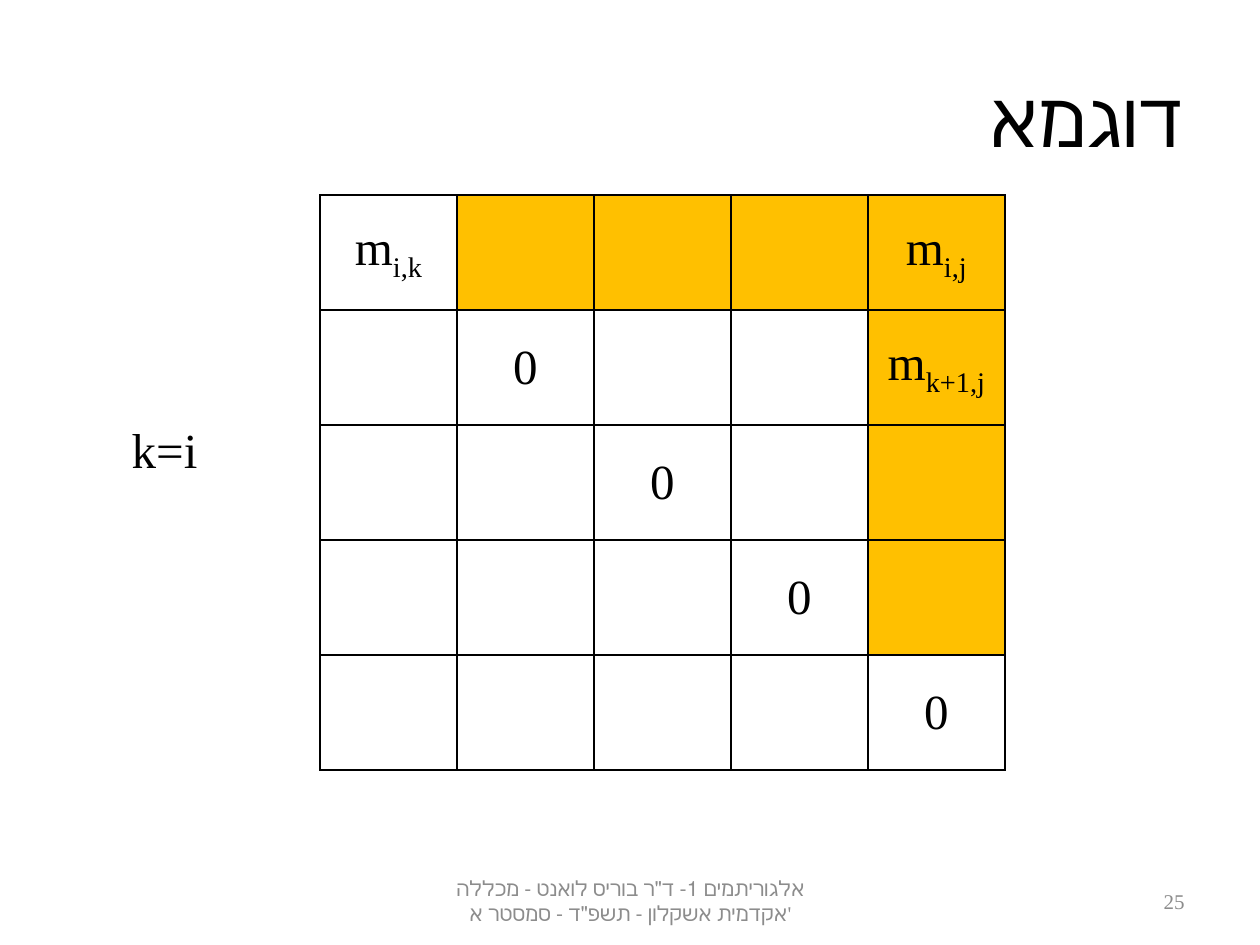
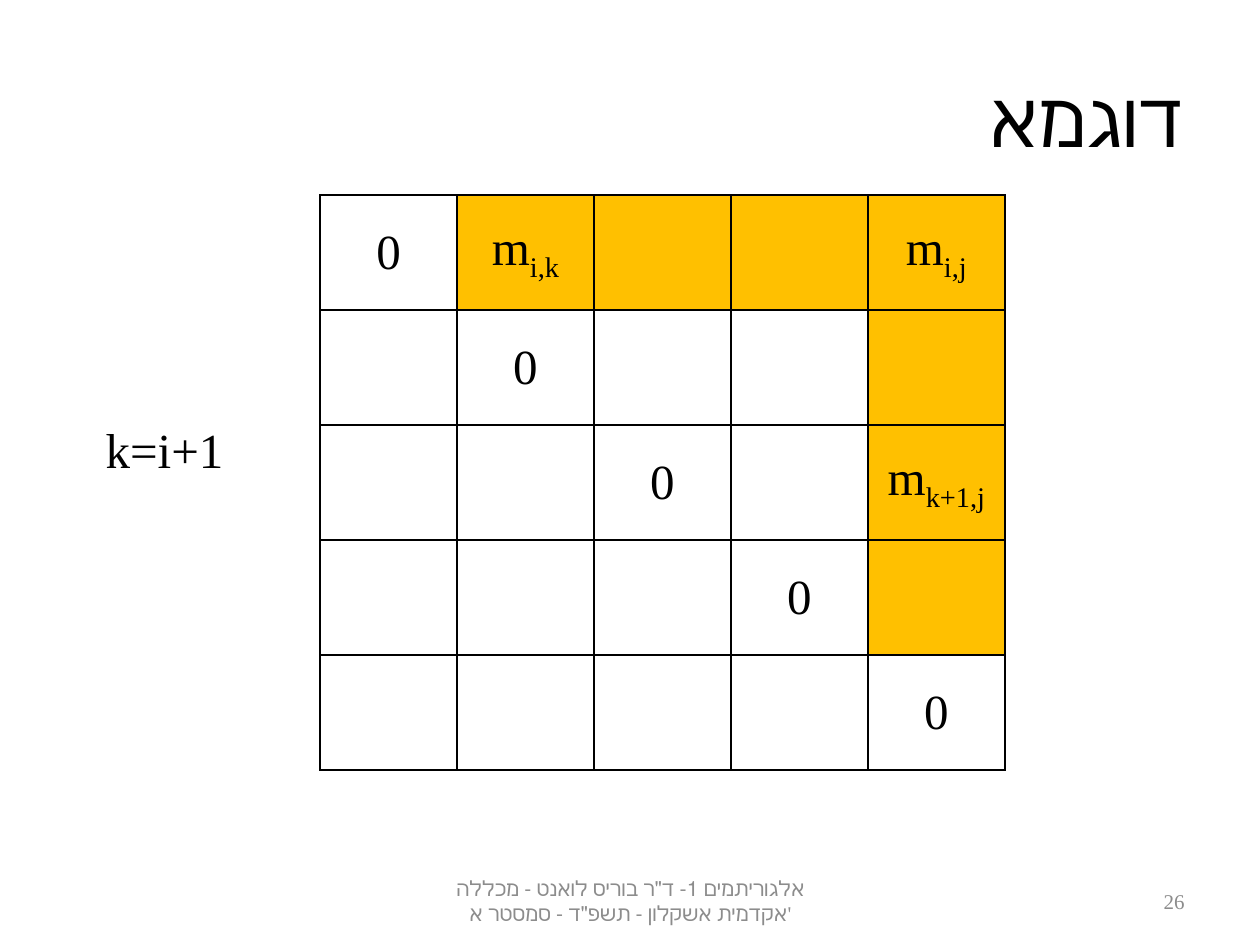
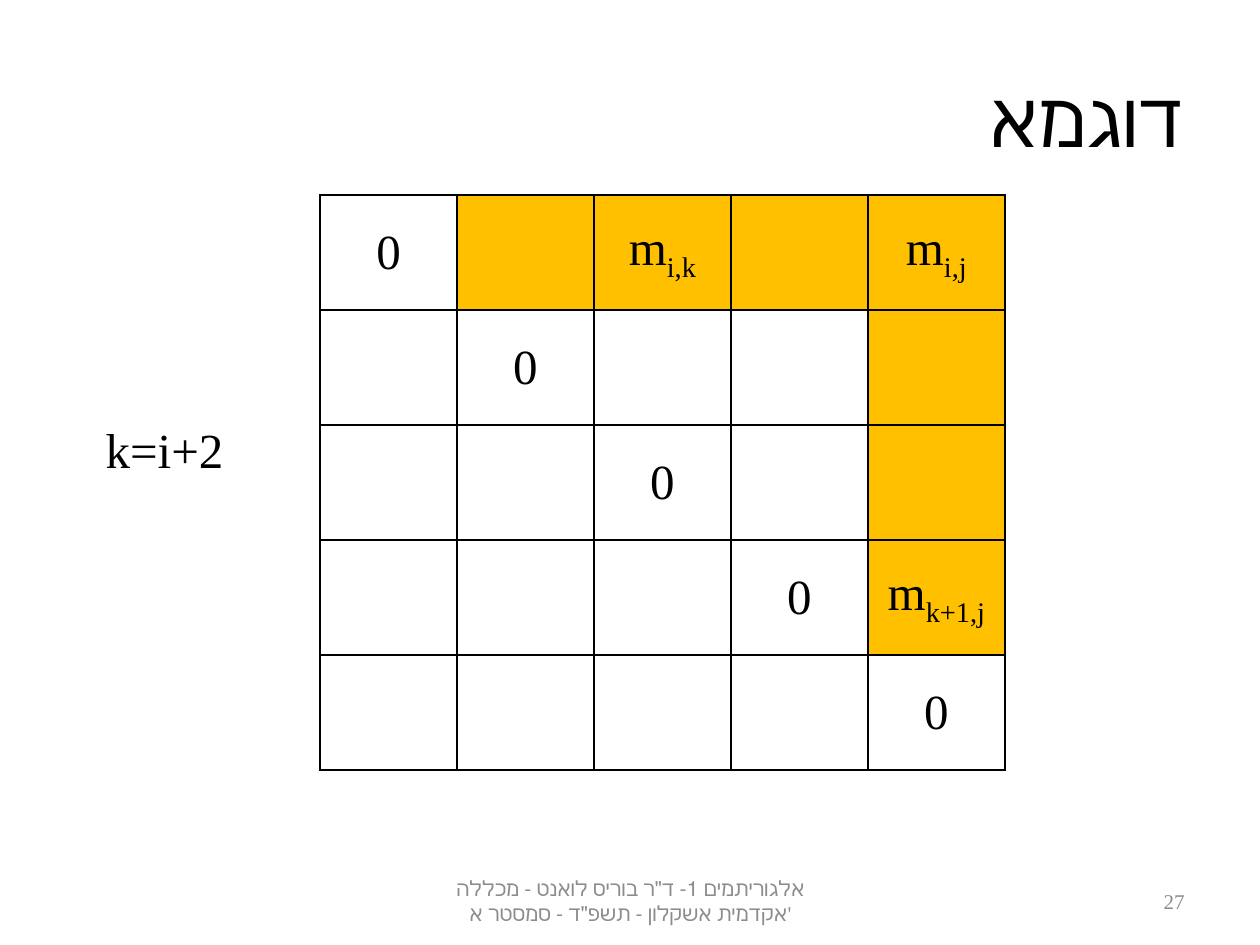
from lxml.etree import SubElement
from pptx import Presentation
from pptx.dml.color import RGBColor
from pptx.enum.text import MSO_ANCHOR as Anchor, PP_ALIGN as Align
from pptx.oxml.ns import qn
from pptx.util import Pt

# Shared style
PX = 914400 // 126
FONT = "Times New Roman"
BLACK = RGBColor(0, 0, 0)
GRAY = RGBColor(0x8C, 0x8C, 0x8C)
AMBER = RGBColor(0xFF, 0xC0, 0x00)
TITLE = "דוגמא"
FOOTER = "אלגוריתמים 1- ד\"ר בוריס לואנט - מכללה אקדמית אשקלון - תשפ\"ד - סמסטר א'"
FIRST_PAGE = 25

# Matrix grid
SIZE = 5
LAST = SIZE - 1
LEFT, TOP = 320, 195
CELL_WIDTH, CELL_HEIGHT = 137, 115


class Builder:
    """Holds the deck style and the page being drawn."""

    def __init__(self, deck):
        self.deck = deck
        self.page = None

    def new_page(self, number):
        self.page = self.deck.slides.add_slide(self.deck.slide_layouts[6])
        self.text(TITLE, 63, 38, 1134, 157, 44, align=Align.RIGHT, rtl=True)
        self.text(FOOTER, 431, 876, 399, 50, 12, GRAY)
        self.text(str(number), 903, 876, 294, 50, 12, GRAY, Align.RIGHT)

    def style(self, para, size, color=BLACK, align=Align.CENTER):
        para.alignment = align
        for span in para.runs:
            span.font.name = FONT
            span.font.size = Pt(size)
            span.font.color.rgb = color

    def text(self, words, left, top, width, height, size, color=BLACK,
             align=Align.CENTER, anchor=Anchor.MIDDLE, rtl=False):
        box = self.page.shapes.add_textbox(left * PX, top * PX, width * PX, height * PX)
        frame = box.text_frame
        frame.word_wrap = True
        frame.vertical_anchor = anchor
        frame.text = words
        para = frame.paragraphs[0]
        self.style(para, size, color, align)
        if rtl:
            para._p.get_or_add_pPr().set("rtl", "1")

    def border(self, cell):
        props = cell._tc.get_or_add_tcPr()
        for side in ("lnL", "lnR", "lnT", "lnB"):
            line = SubElement(props, qn(f"a:{side}"), w=str(Pt(1)))
            fill = SubElement(line, qn("a:solidFill"))
            SubElement(fill, qn("a:srgbClr"), val=str(BLACK))

    def cell(self, cell, words, index, marked):
        self.border(cell)
        if marked:
            cell.fill.solid()
            cell.fill.fore_color.rgb = AMBER
        else:
            cell.fill.background()
        cell.vertical_anchor = Anchor.MIDDLE
        para = cell.text_frame.paragraphs[0]
        if words:
            para.add_run().text = words
        if index:
            span = para.add_run()
            span.text = index
            span._r.get_or_add_rPr().set("baseline", "-25000")
        self.style(para, 28)

    def matrix(self, step):
        table = self.page.shapes.add_table(
            SIZE, SIZE, LEFT * PX, TOP * PX,
            SIZE * CELL_WIDTH * PX, SIZE * CELL_HEIGHT * PX).table
        table.first_row = table.horz_banding = False
        # Zeros on the diagonal, then the three terms of the recurrence
        entries = {(i, i): ("0", "") for i in range(SIZE)}
        entries[0, step] = ("m", "i,k")
        entries[0, LAST] = ("m", "i,j")
        entries[step + 1, LAST] = ("m", "k+1,j")
        for row in range(SIZE):
            table.rows[row].height = CELL_HEIGHT * PX
            table.columns[row].width = CELL_WIDTH * PX
            for column in range(SIZE):
                words, index = entries.get((row, column), ("", ""))
                marked = row != column and (row == 0 or column == LAST)
                self.cell(table.cell(row, column), words, index, marked)


def main():
    deck = Presentation()
    deck.slide_width, deck.slide_height = 1260 * PX, 945 * PX
    builder = Builder(deck)
    # One page per split position k
    for step, label in enumerate(("k=i", "k=i+1", "k=i+2")):
        builder.new_page(FIRST_PAGE + step)
        builder.matrix(step)
        builder.text(label, 74, 413, 181, 72, 28, anchor=Anchor.TOP)
    deck.save("out.pptx")


if __name__ == "__main__":
    main()
